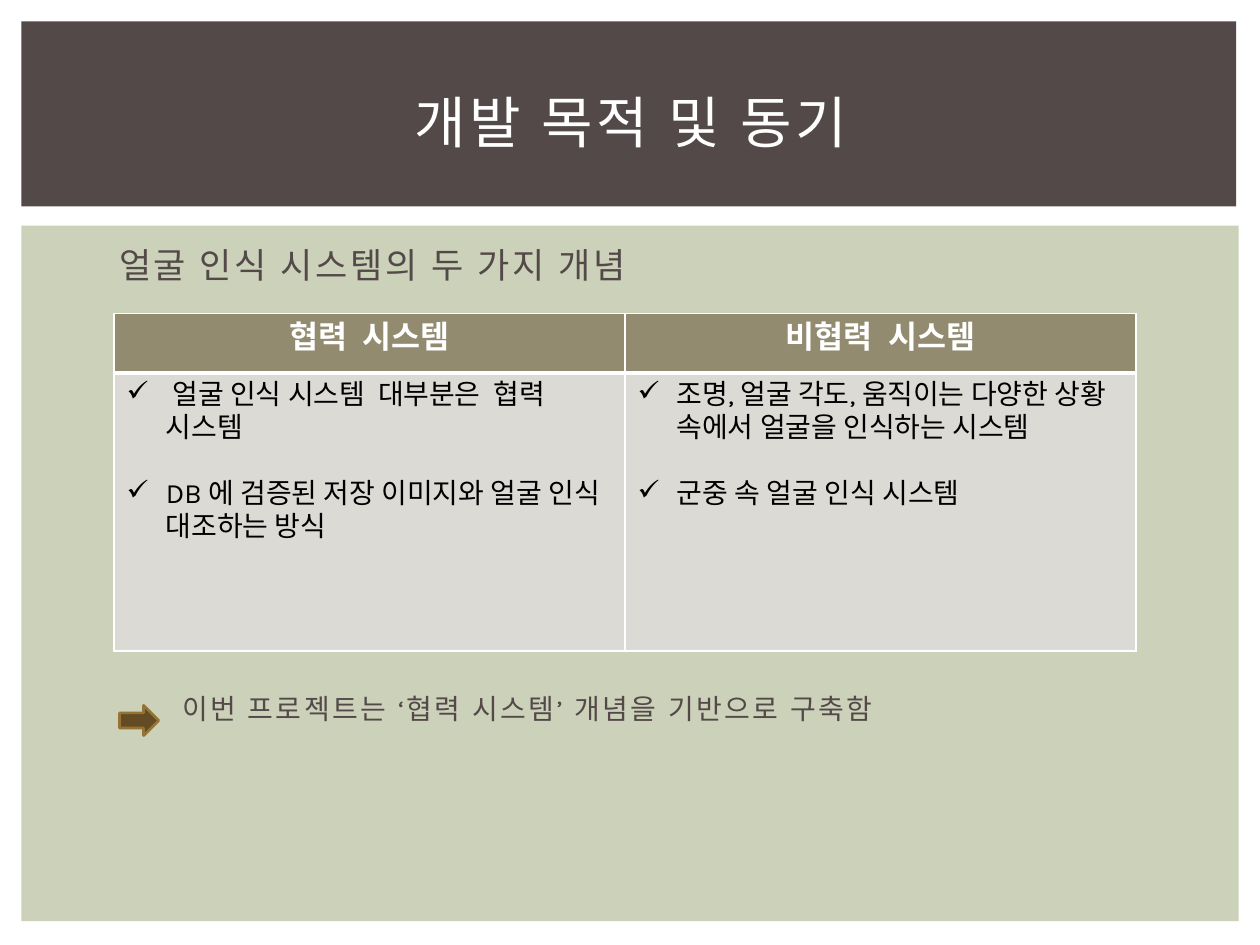
from typing import NamedTuple

from lxml.etree import SubElement
from pptx import Presentation
from pptx.dml.color import RGBColor
from pptx.enum.shapes import MSO_SHAPE
from pptx.enum.text import MSO_ANCHOR, PP_ALIGN
from pptx.oxml import parse_xml
from pptx.oxml.ns import nsdecls, qn
from pptx.util import Cm, Pt

FONT = "Karla"
COLORS = {
    "white": "FFFFFF",
    "black": "000000",
    "brown": "534949",
    "sage": "CCD1B9",
    "olive": "928B70",
    "stone": "DCDAD5",
    "arrow": "634C23",
    "arrow_edge": "947335",
}


class Box(NamedTuple):
    left: float
    top: float
    width: float
    height: float

    def lengths(self) -> list:
        return [Cm(value) for value in self]


class Concept(NamedTuple):
    heading: str
    points: list[str]


class Statement(NamedTuple):
    text: str
    box: Box
    size: int


CONCEPTS = [
    Concept("협력  시스템", [
        " 얼굴 인식 시스템  대부분은  협력 시스템",
        "DB 에 검증된 저장 이미지와 얼굴 인식 대조하는 방식",
    ]),
    Concept("비협력  시스템", [
        "조명, 얼굴 각도, 움직이는 다양한 상황 속에서 얼굴을 인식하는 시스템",
        "군중 속 얼굴 인식 시스템",
    ]),
]
STATEMENTS = [
    Statement("얼굴 인식 시스템의 두 가지 개념", Box(2.15, 4.78, 20, 1.3), 20),
    Statement("이번 프로젝트는 ‘협력 시스템’ 개념을 기반으로 구축함",
              Box(3.42, 13.82, 20, 1.1), 16),
]
BODY_PANEL = Box(0.43, 4.55, 24.54, 14.02)
TITLE_PANEL = Box(0.43, 0.43, 24.49, 3.73)
TITLE = Box(1.07, 0.99, 23.29, 2.92)
TABLE = Box(2.3, 6.32, 20.6, 6.8)
ARROW = Box(2.41, 14.22, 0.79, 0.61)
HEADER_HEIGHT = 1.2


def rgb(name: str) -> RGBColor:
    return RGBColor.from_string(COLORS[name])


def write(paragraph, text: str, *, size: float, color: str, bold: bool = False,
          spacing: float = 0, align=PP_ALIGN.LEFT) -> None:
    paragraph.alignment = align
    run = paragraph.add_run()
    run.text = text
    font = run.font
    font.name, font.size, font.bold = FONT, Pt(size), bold
    font.color.rgb = rgb(color)
    properties = run._r.get_or_add_rPr()
    SubElement(properties, qn("a:ea")).set("typeface", FONT)
    if spacing:
        properties.set("spc", str(int(spacing * 100)))


def add_filled(slide, kind, box: Box, fill: str, edge: str | None = None):
    shape = slide.shapes.add_shape(kind, *box.lengths())
    shape.shadow.inherit = False
    shape.fill.solid()
    shape.fill.fore_color.rgb = rgb(fill)
    if edge:
        shape.line.color.rgb = rgb(edge)
        shape.line.width = Pt(1.5)
    else:
        shape.line.fill.background()
    return shape


def add_statement(slide, statement: Statement) -> None:
    frame = slide.shapes.add_textbox(*statement.box.lengths()).text_frame
    frame.word_wrap = True
    write(frame.paragraphs[0], statement.text, size=statement.size,
          color="brown", spacing=1.5)


def style_cell(cell, fill: str, top: int = 1, bottom: int = 1) -> None:
    """Fill the cell and give it white borders; top and bottom are in points."""
    cell.fill.solid()
    cell.fill.fore_color.rgb = rgb(fill)
    widths = {"lnL": 1, "lnR": 1, "lnT": top, "lnB": bottom}
    for index, (side, width) in enumerate(widths.items()):
        cell._tc.get_or_add_tcPr().insert(index, parse_xml(
            f'<a:{side} {nsdecls("a")} w="{Pt(width)}"><a:solidFill>'
            f'<a:srgbClr val="{COLORS["white"]}"/></a:solidFill></a:{side}>'))


def add_check_mark(paragraph) -> None:
    properties = paragraph._p.get_or_add_pPr()
    indent = Cm(0.79)
    properties.set("marL", str(indent))
    properties.set("indent", str(-indent))
    SubElement(properties, qn("a:buChar")).set("char", "✓")


def add_concept_table(slide) -> None:
    table = slide.shapes.add_table(2, len(CONCEPTS), *TABLE.lengths()).table
    table.horz_banding = False
    table.rows[0].height = Cm(HEADER_HEIGHT)
    table.rows[1].height = Cm(TABLE.height - HEADER_HEIGHT)
    for column, concept in enumerate(CONCEPTS):
        header, body = table.cell(0, column), table.cell(1, column)
        style_cell(header, "olive", bottom=3)
        style_cell(body, "stone", top=3)
        write(header.text_frame.paragraphs[0], concept.heading, size=18,
              color="white", bold=True, align=PP_ALIGN.CENTER)
        for index, point in enumerate(concept.points):
            frame = body.text_frame
            paragraph = frame.add_paragraph() if index else frame.paragraphs[0]
            paragraph.space_before = Pt(19 if index else 0)
            add_check_mark(paragraph)
            write(paragraph, point, size=16, color="black")


def add_title(slide, text: str) -> None:
    title = slide.shapes.title
    title.left, title.top, title.width, title.height = TITLE.lengths()
    title.text_frame.vertical_anchor = MSO_ANCHOR.MIDDLE
    write(title.text_frame.paragraphs[0], text, size=32, color="white",
          spacing=2, align=PP_ALIGN.CENTER)


def main() -> None:
    presentation = Presentation()
    presentation.slide_width, presentation.slide_height = Cm(25.4), Cm(19.05)
    slide = presentation.slides.add_slide(presentation.slide_layouts[5])
    for box, fill in ((BODY_PANEL, "sage"), (TITLE_PANEL, "brown")):
        panel = add_filled(slide, MSO_SHAPE.RECTANGLE, box, fill)
        slide.shapes.title._element.addprevious(panel._element)
    add_title(slide, "개발 목적 및 동기")
    for statement in STATEMENTS:
        add_statement(slide, statement)
    add_concept_table(slide)
    add_filled(slide, MSO_SHAPE.RIGHT_ARROW, ARROW, "arrow", "arrow_edge")
    presentation.save("out.pptx")


if __name__ == "__main__":
    main()
